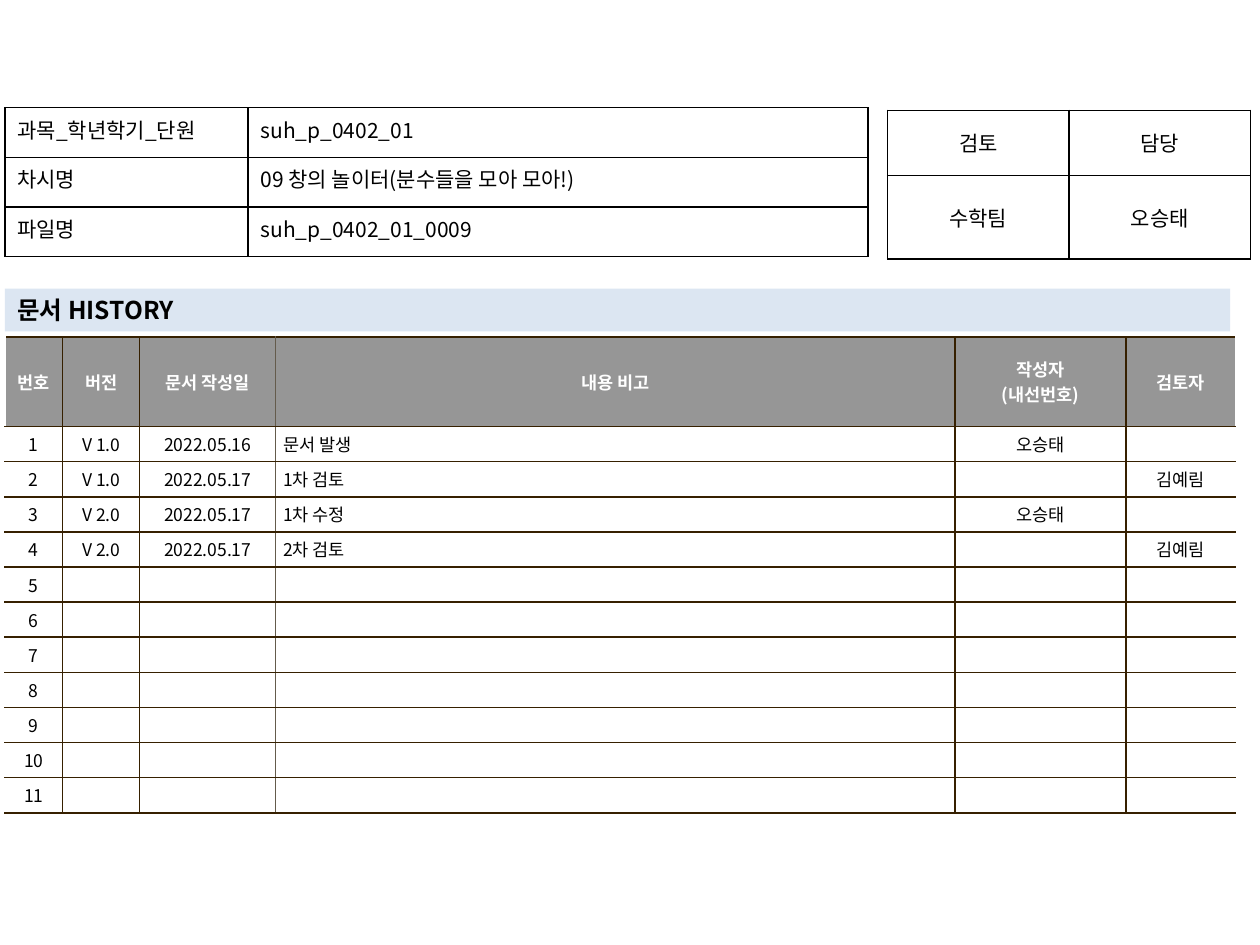
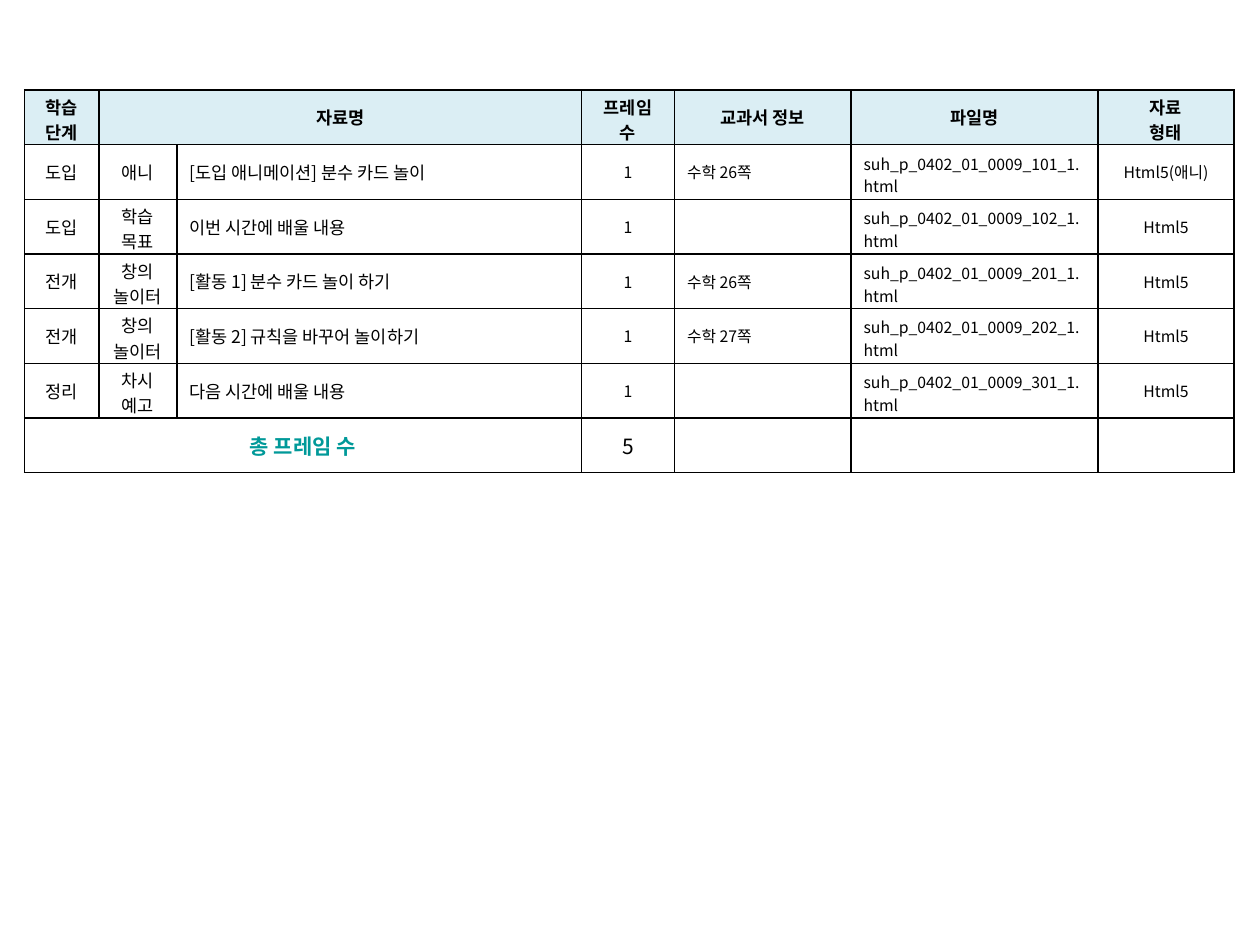
from dataclasses import dataclass, replace

from lxml import etree
from pptx import Presentation, util as u
from pptx.dml import color as dml
from pptx.enum import text as t
from pptx.oxml import ns

FONT = "Noto Sans CJK KR"
BLACK, WHITE, BROWN, TAUPE = "000000", "FFFFFF", "362000", "645B4C"
GREY, PALE_BLUE, PALE_TEAL, TEAL = "969696", "DCE6F2", "DBEEF4", "009999"
LEFT, CENTER, JUSTIFY = t.PP_ALIGN.LEFT, t.PP_ALIGN.CENTER, t.PP_ALIGN.JUSTIFY
COLUMNS, ROWS = 100, 75
TITLE_ONLY, BLANK = 5, 6


@dataclass(frozen=True)
class Look:
    """How a cell appears; inset is side, top and bottom in inches."""
    size: float = 10
    bold: bool = False
    ink: str = BLACK
    fill: str = ""
    align: t.PP_ALIGN = CENTER
    anchor: t.MSO_ANCHOR = t.MSO_ANCHOR.MIDDLE
    inset: tuple = (0.1, 0.05, 0.05)


def rgb(value):
    return dml.RGBColor.from_string(value)


def set_border(cell, side, value):
    properties = cell._tc.get_or_add_tcPr()
    line = etree.Element(ns.qn(f"a:ln{side}"), w=str(u.Pt(1)))
    fill = etree.SubElement(line, ns.qn("a:solidFill"))
    etree.SubElement(fill, ns.qn("a:srgbClr"), val=value)
    properties.insert("LRTB".index(side), line)


class Deck:
    def __init__(self):
        self.presentation = Presentation()
        self.presentation.slide_width = u.Inches(10)
        self.presentation.slide_height = u.Inches(7.5)
        self.slide = None

    def add_slide(self, layout):
        layouts = self.presentation.slide_layouts
        self.slide = self.presentation.slides.add_slide(layouts[layout])

    def across(self, columns):
        return round(self.presentation.slide_width * columns / COLUMNS)

    def down(self, rows):
        return round(self.presentation.slide_height * rows / ROWS)

    def format_text(self, frame, look):
        for paragraph in frame.paragraphs:
            paragraph.alignment = look.align
            font = paragraph.font
            font.size, font.bold, font.name = u.Pt(look.size), look.bold, FONT
            font.color.rgb = rgb(look.ink)
            etree.SubElement(font._element, ns.qn("a:ea"), typeface=FONT)

    def title_band(self, left, top, width, height, words):
        title = self.slide.shapes.title
        title.left, title.top = self.across(left), self.down(top)
        title.width, title.height = self.across(width), self.down(height)
        title.fill.solid()
        title.fill.fore_color.rgb = rgb(PALE_BLUE)
        frame = title.text_frame
        frame.text = words
        frame.word_wrap = True
        frame.auto_size = t.MSO_AUTO_SIZE.NONE
        frame.vertical_anchor = t.MSO_ANCHOR.MIDDLE
        self.format_text(frame, Look(size=14, bold=True, align=LEFT))

    def table(self, left, top, widths, heights, cells, look_at,
              line=BLACK, open_sides=False, inner_lines=None):
        """look_at(row, column) gives a Look; inner_lines maps the number of
        a vertical line, counted from the left edge, to its own colour."""
        inner_lines = inner_lines or {}
        last = len(widths)
        table = self.slide.shapes.add_table(
            len(heights), last, self.across(left), self.down(top),
            self.across(sum(widths)), self.down(sum(heights))).table
        table.first_row = table.horz_banding = False
        for column, width in zip(table.columns, widths):
            column.width = self.across(width)
        for row, height in zip(table.rows, heights):
            row.height = self.down(height)
        for row, words in enumerate(cells):
            for column in range(last):
                cell = table.cell(row, column)
                cell.text = words[column] if column < len(words) else ""
                self.format_cell(cell, look_at(row, column))
                for side, edge in (("L", column), ("R", column + 1)):
                    if not (open_sides and edge in (0, last)):
                        set_border(cell, side, inner_lines.get(edge, line))
                for side in "TB":
                    set_border(cell, side, line)
        return table

    def format_cell(self, cell, look):
        side, top, bottom = map(u.Inches, look.inset)
        cell.margin_left = cell.margin_right = side
        cell.margin_top, cell.margin_bottom = top, bottom
        cell.vertical_anchor = look.anchor
        if look.fill:
            cell.fill.solid()
            cell.fill.fore_color.rgb = rgb(look.fill)
        else:
            cell.fill.background()
        self.format_text(cell.text_frame, look)


def add_history(deck):
    deck.add_slide(TITLE_ONLY)

    body = Look(fill=WHITE, inset=(0.06, 0.03, 0.03))
    header = replace(body, bold=True, ink=WHITE, fill=GREY)
    note_column = 3

    def history_look(row, column):
        if row == 0:
            return header
        return replace(body, align=LEFT) if column == note_column else body

    entries = [
        ["V 1.0", "2022.05.16", "문서 발생", "오승태"],
        ["V 1.0", "2022.05.17", "1차 검토", "", "김예림"],
        ["V 2.0", "2022.05.17", "1차 수정", "오승태"],
        ["V 2.0", "2022.05.17", "2차 검토", "", "김예림"],
    ]
    entry_rows = 11
    entries += [[]] * (entry_rows - len(entries))
    history = [["번호", "버전", "문서 작성일", "내용 비고", "작성자\n(내선번호)", "검토자"]]
    history += [[str(number), *entry] for number, entry in enumerate(entries, 1)]
    deck.table(0.38, 26.75, [4.6, 6.1, 10.8, 53.9, 13.6, 8.7],
               [7.1] + [2.79] * entry_rows, history, history_look,
               line=BROWN, open_sides=True, inner_lines={note_column: TAUPE})

    review = Look(size=12)
    deck.table(70.45, 8.75, [14.4] * 2, [5.17, 6.63],
               [["검토", "담당"], ["수학팀", "오승태"]], lambda row, column: review)

    deck.title_band(0.38, 22.9, 97.25, 3.4, "문서 HISTORY")

    label = Look(size=12, align=JUSTIFY, anchor=t.MSO_ANCHOR.TOP)
    value = replace(label, align=LEFT)
    details = [
        ["과목_학년학기_단원", "suh_p_0402_01"],
        ["차시명", "09 창의 놀이터(분수들을 모아 모아!)"],
        ["파일명", "suh_p_0402_01_0009"],
    ]
    deck.table(0.38, 8.55, [19.3, 49.2], [3.93] * len(details), details,
               lambda row, column: value if column else label)


def add_frame_list(deck):
    deck.add_slide(BLANK)

    lessons = [
        ("도입", "애니", "[도입 애니메이션] 분수 카드 놀이", "수학 26쪽", "101", "Html5(애니)"),
        ("도입", "학습 목표", "이번 시간에 배울 내용", "", "102", "Html5"),
        ("전개", "창의\n놀이터", "[활동 1] 분수 카드 놀이 하기", "수학 26쪽", "201", "Html5"),
        ("전개", "창의\n놀이터", "[활동 2] 규칙을 바꾸어 놀이하기", "수학 27쪽", "202", "Html5"),
        ("정리", "차시 예고", "다음 시간에 배울 내용", "", "301", "Html5"),
    ]
    frames = [["학습 단계", "자료명", "", "프레임 수", "교과서 정보", "파일명", "자료\n형태"]]
    frames += [[stage, kind, name, "1", pages,
                f"suh_p_0402_01_0009_{number}_1.html", form]
               for stage, kind, name, pages, number, form in lessons]
    frames.append(["총 프레임 수", "", "", str(len(lessons))])
    total_row = len(frames) - 1

    two_lines = (0.1, 0.03, 0)
    header = Look(bold=True, fill=PALE_TEAL)
    tall_header = replace(header, inset=two_lines)
    stage, small = Look(), Look(size=9)
    kind = replace(stage, inset=two_lines)
    name, pages = Look(align=LEFT), Look(size=9, align=JUSTIFY)
    file_name = replace(pages, inset=(0.1, 0.05, 0.01))
    lesson_looks = [stage, kind, name, small, pages, file_name, small]
    total = Look(size=12)
    total_label = replace(total, bold=True, ink=TEAL)

    def frame_look(row, column):
        if row == 0:
            return tall_header if column in (0, 3, 6) else header
        if row == total_row:
            return total if column else total_label
        if (row, column) == (1, 1):
            return stage
        return lesson_looks[column]

    table = deck.table(1.95, 7.15, [5.9, 6.2, 32.1, 7.4, 14, 19.6, 10.8],
                       [4.34] * len(frames), frames, frame_look)
    table.cell(0, 1).merge(table.cell(0, 2))
    table.cell(total_row, 0).merge(table.cell(total_row, 2))


def main():
    deck = Deck()
    add_history(deck)
    add_frame_list(deck)
    deck.presentation.save("out.pptx")


if __name__ == "__main__":
    main()
